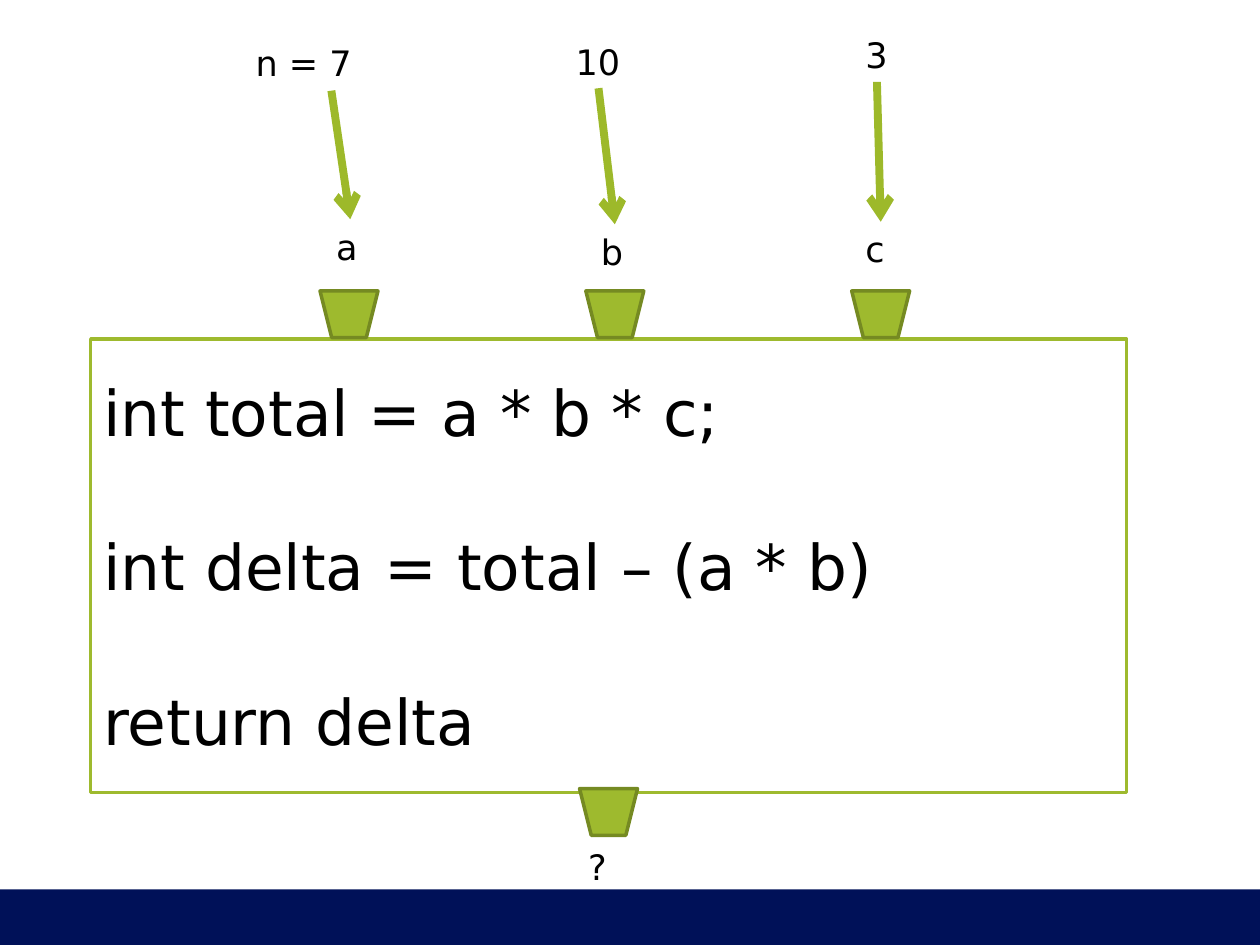
import pptx
import pptx.util
import pptx.dml.color
import pptx.enum.shapes
import pptx.enum.text
import lxml.etree
import pptx.oxml.ns

Inch = pptx.util.Inches
Point = pptx.util.Pt
Color = pptx.dml.color.RGBColor
Kind = pptx.enum.shapes.MSO_SHAPE
qn = pptx.oxml.ns.qn

NAVY = Color(0x00, 0x11, 0x58)
GREEN = Color(0x9E, 0xBA, 0x2E)
ARROW = Color(0x9D, 0xB9, 0x2A)
OLIVE = Color(0x75, 0x8A, 0x22)
WHITE = Color(0xFF, 0xFF, 0xFF)
BLACK = Color(0, 0, 0)
FONT = "DejaVu Sans"

WIDE, HIGH = 10, 7.5
COL, STEP = 2.77, 2.11      # centre of the first input, gap to the next
PORT_W, PORT_H = 0.46, 0.37
BOX_X, BOX_Y, BOX_W, BOX_H = 0.72, 2.69, 8.22, 3.6
ROW = 0.44                  # height of a label and of the footer

deck = pptx.Presentation()
deck.slide_width, deck.slide_height = Inch(WIDE), Inch(HIGH)
slide = deck.slides.add_slide(deck.slide_layouts[6])
shapes = slide.shapes


def block(kind, left, top, width, height, fill, line=None):
    """Add a filled shape, with a 2 pt outline if a line colour is given."""
    shape = shapes.add_shape(kind, *map(Inch, (left, top, width, height)))
    shape.shadow.inherit = False
    shape.fill.solid()
    shape.fill.fore_color.rgb = fill
    if line is None:
        shape.line.fill.background()
    else:
        shape.line.color.rgb = line
        shape.line.width = Point(2)
    return shape


def write(para, text, size):
    """Add one left-aligned black run to a paragraph."""
    para.alignment = pptx.enum.text.PP_ALIGN.LEFT
    run = para.add_run()
    run.text = text
    run.font.name, run.font.size = FONT, Point(size)
    run.font.color.rgb = BLACK


block(Kind.RECTANGLE, 0, HIGH - ROW, WIDE, ROW, NAVY)

# Body of the function
body = block(Kind.RECTANGLE, BOX_X, BOX_Y, BOX_W, BOX_H, WHITE, GREEN)
frame = body.text_frame
frame.word_wrap = True
frame.vertical_anchor = pptx.enum.text.MSO_ANCHOR.MIDDLE
code = ["int total = a * b * c;", "int delta = total – (a * b)", "return delta"]
for row, text in enumerate(code):
    para = frame.paragraphs[0] if row == 0 else frame.add_paragraph()
    if row:
        para.space_before = Point(45)
    write(para, text, 36)

# Arrows from each value to its parameter
arrows = [(2.63, 0.72, 2.78, 1.74), (4.75, 0.7, 4.88, 1.78),
          (6.96, 0.65, 6.99, 1.76)]
for ends in arrows:
    arrow = shapes.add_connector(pptx.enum.shapes.MSO_CONNECTOR.STRAIGHT,
                                 *map(Inch, ends))
    arrow.line.color.rgb = ARROW
    arrow.line.width = Point(4.5)
    tail = lxml.etree.SubElement(arrow.line._get_or_add_ln(), qn("a:tailEnd"))
    tail.set("type", "arrow")
    lxml.etree.SubElement(arrow._element.spPr, qn("a:effectLst"))

# Three input ports and one output port
ports = [(COL + STEP * col, BOX_Y - PORT_H - 0.01) for col in range(3)]
ports.append((BOX_X + BOX_W / 2, BOX_Y + BOX_H - 0.03))
for mid, top in ports:
    port = block(Kind.TRAPEZOID, mid - PORT_W / 2, top, PORT_W, PORT_H,
                 GREEN, OLIVE)
    port._element.spPr.find(qn("a:xfrm")).set("flipV", "1")

# Values, parameters and result
labels = [("n = 7", 1.93, 0.28, 1.41), ("10", 4.47, 0.27, 0.56),
          ("3", 6.77, 0.22, 0.38), ("a", 2.57, 1.74, 0.42),
          ("b", 4.67, 1.78, 0.42), ("c", 6.77, 1.76, 0.42),
          ("?", 4.57, 6.66, 0.89)]
for text, left, top, width in labels:
    label = shapes.add_textbox(*map(Inch, (left, top, width, ROW)))
    label.text_frame.word_wrap = len(text) != 2
    write(label.text_frame.paragraphs[0], text, 20)

deck.save("out.pptx")
